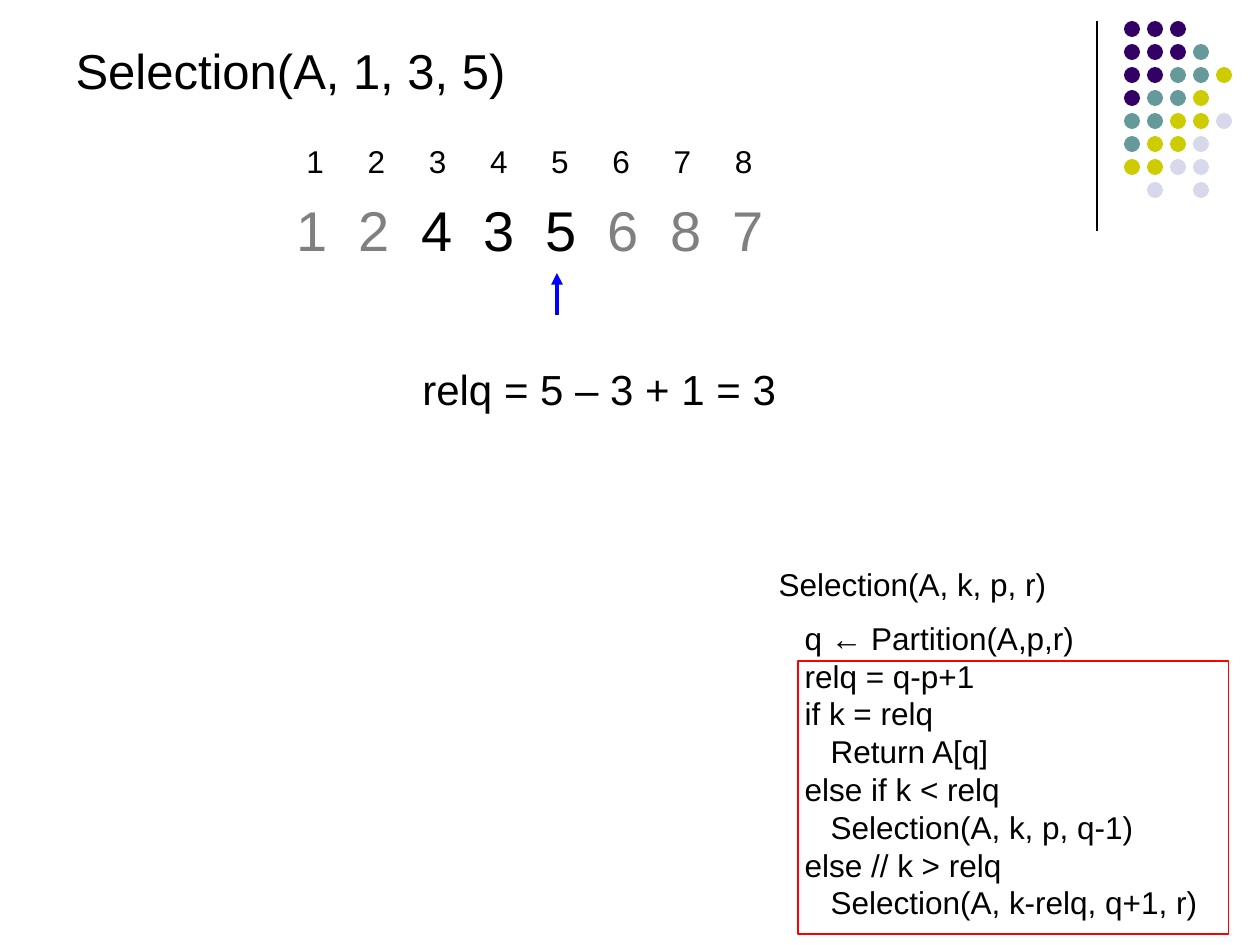
from lxml import etree
from pptx import Presentation
from pptx.dml.color import RGBColor
from pptx.enum.shapes import MSO_CONNECTOR, MSO_SHAPE
from pptx.enum.text import MSO_ANCHOR, MSO_AUTO_SIZE, PP_ALIGN
from pptx.oxml.ns import qn
from pptx.util import Pt

PX = 914400 // 126
STRAIGHT = MSO_CONNECTOR.STRAIGHT
OVAL, RECTANGLE = MSO_SHAPE.OVAL, MSO_SHAPE.RECTANGLE
TOP, LEFT, NO_AUTOFIT = MSO_ANCHOR.TOP, PP_ALIGN.LEFT, MSO_AUTO_SIZE.NONE

BLACK = RGBColor(0x00, 0x00, 0x00)
GRAY = RGBColor(0x80, 0x80, 0x80)
RED = RGBColor(0xFF, 0x00, 0x00)
BLUE = RGBColor(0x00, 0x00, 0xFF)
PURPLE = RGBColor(0x33, 0x00, 0x66)
TEAL = RGBColor(0x66, 0x99, 0x99)
OLIVE = RGBColor(0xCC, 0xCC, 0x00)
LAVENDER = RGBColor(0xD8, 0xD8, 0xEC)

presentation = Presentation()
presentation.slide_width = 1260 * PX
presentation.slide_height = 945 * PX
slide = presentation.slides.add_slide(presentation.slide_layouts[1])
shapes = slide.shapes


def place_text(shape, box, size):
    """Position a text shape and return its first paragraph, formatted."""
    shape.left, shape.top, shape.width, shape.height = [n * PX for n in box]
    frame = shape.text_frame
    frame.word_wrap = True
    frame.auto_size = NO_AUTOFIT
    frame.vertical_anchor = TOP
    paragraph = frame.paragraphs[0]
    paragraph.alignment = LEFT
    paragraph.font.name = "Arial"
    paragraph.font.size = Pt(size)
    paragraph.font.color.rgb = BLACK
    return paragraph


def add_line(start, end, color, width):
    line = shapes.add_connector(STRAIGHT, *[n * PX for n in start + end])
    line.line.color.rgb = color
    line.line.width = Pt(width)
    etree.SubElement(line._element.spPr, qn("a:effectLst"))
    return line


# Corner decoration: one letter per dot
add_line((1097, 21), (1097, 231), BLACK, 0.75)
DOT_COLORS = {"P": PURPLE, "T": TEAL, "O": OLIVE, "L": LAVENDER}
DOT_ROWS = ["PPP", "PPPT", "PPTTO", "PTTO", "TTOOL", "TOOL", "OOLL", ".L.L"]
for row, letters in enumerate(DOT_ROWS):
    for column, letter in enumerate(letters):
        if letter == ".":
            continue
        dot = shapes.add_shape(OVAL, (1124 + 23 * column) * PX,
                               (21 + 23 * row) * PX, 16 * PX, 16 * PX)
        dot.shadow.inherit = False
        dot.fill.solid()
        dot.fill.fore_color.rgb = DOT_COLORS[letter]
        dot.line.fill.background()

# Title
title = place_text(shapes.title, (63, 34, 809, 72), 28)
title.text = "Selection(A, 1, 3, 5)"

# Pseudocode: indent level and text of each line
CODE = [
    (0, "Selection(A, k, p, r)"),
    (1, "q ← Partition(A,p,r)"),
    (1, "relq = q-p+1"),
    (1, "if k = relq"),
    (2, "Return A[q]"),
    (1, "else if k < relq"),
    (2, "Selection(A, k, p, q-1)"),
    (1, "else // k > relq"),
    (2, "Selection(A, k-relq, q+1, r)"),
]
code = slide.placeholders[1]
place_text(code, (766, 559, 473, 375), 18)
for index, (level, text) in enumerate(CODE):
    frame = code.text_frame
    paragraph = frame.add_paragraph() if index else frame.paragraphs[0]
    paragraph.text = text
    paragraph.font.name = "Arial"
    paragraph.font.size = Pt(18)
    paragraph.font.color.rgb = BLACK
    paragraph.line_spacing = Pt(21.6)
    paragraph.space_before = Pt(9 if index == 1 else 0)
    properties = paragraph._p.get_or_add_pPr()
    properties.set("marL", str(26 * level * PX))
    properties.set("indent", "0")
    etree.SubElement(properties, qn("a:buNone"))
    # Text properties must follow the bullet setting
    properties.append(properties.find(qn("a:defRPr")))

highlight = shapes.add_shape(RECTANGLE, 798 * PX, 661 * PX, 431 * PX, 273 * PX)
highlight.shadow.inherit = False
highlight.fill.background()
highlight.line.color.rgb = RED
highlight.line.width = Pt(0.75)

# Array values and their indices, spaced by tab stops
ACTIVE = "435"
NUMBER_ROWS = [
    ("12435678".replace("678", "687"), (284, 189, 577, 79), 32, 62.3, GRAY),
    ("12345678", (294, 136, 525, 50), 18, 61.2, BLACK),
]
for digits, box, size, pitch, color in NUMBER_ROWS:
    paragraph = place_text(shapes.add_textbox(0, 0, 0, 0), box, size)
    properties = paragraph._p.get_or_add_pPr()
    tabs = etree.Element(qn("a:tabLst"))
    for stop in range(1, len(digits)):
        etree.SubElement(tabs, qn("a:tab"), pos=str(round(stop * pitch * PX)), algn="l")
    properties.find(qn("a:defRPr")).addprevious(tabs)
    for index, digit in enumerate(digits):
        run = paragraph.add_run()
        run.text = "\t" + digit if index else digit
        run.font.color.rgb = BLACK if digit in ACTIVE else color

# Pivot arrow
arrow = add_line((557, 315), (557, 273), BLUE, 2.25)
etree.SubElement(arrow.line._get_or_add_ln(), qn("a:tailEnd"), type="triangle")

# Relative position of the pivot
result = place_text(shapes.add_textbox(0, 0, 0, 0), (410, 357, 483, 64), 24)
result.text = "relq = 5 – 3 + 1 = 3"

presentation.save("out.pptx")
